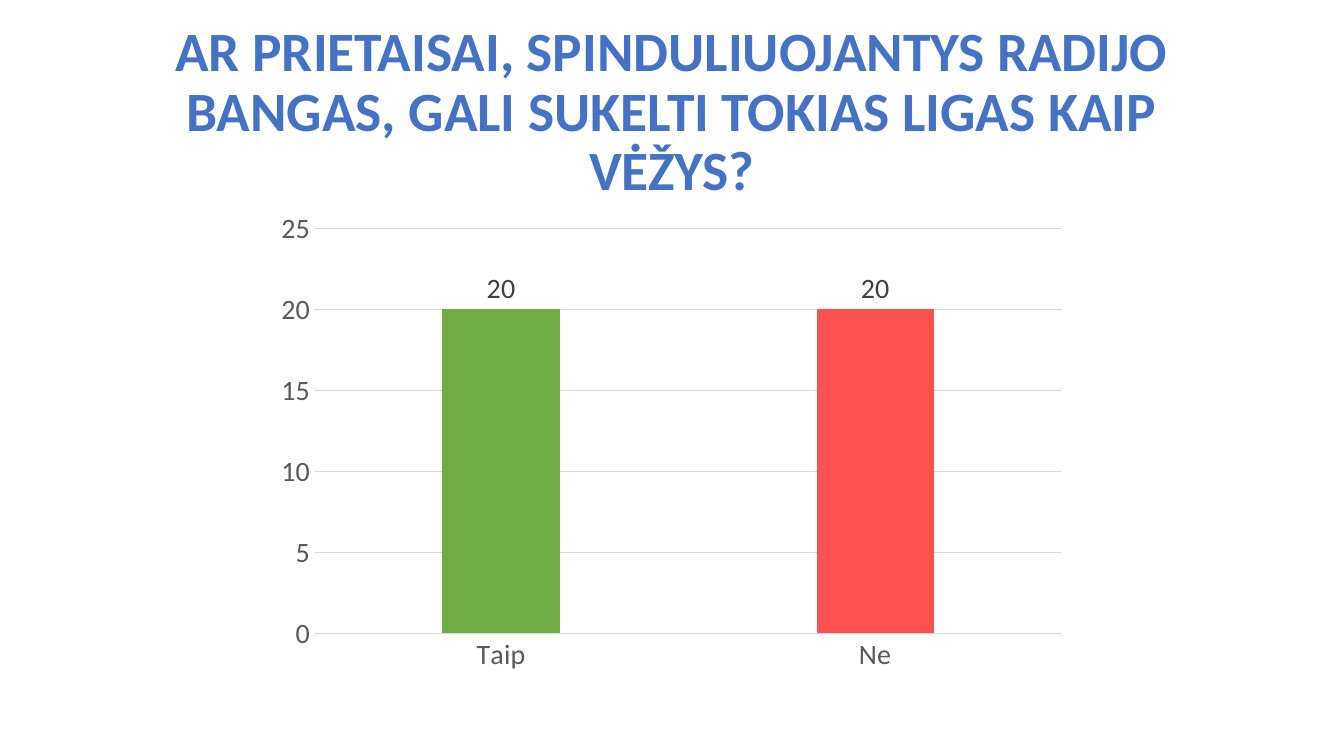
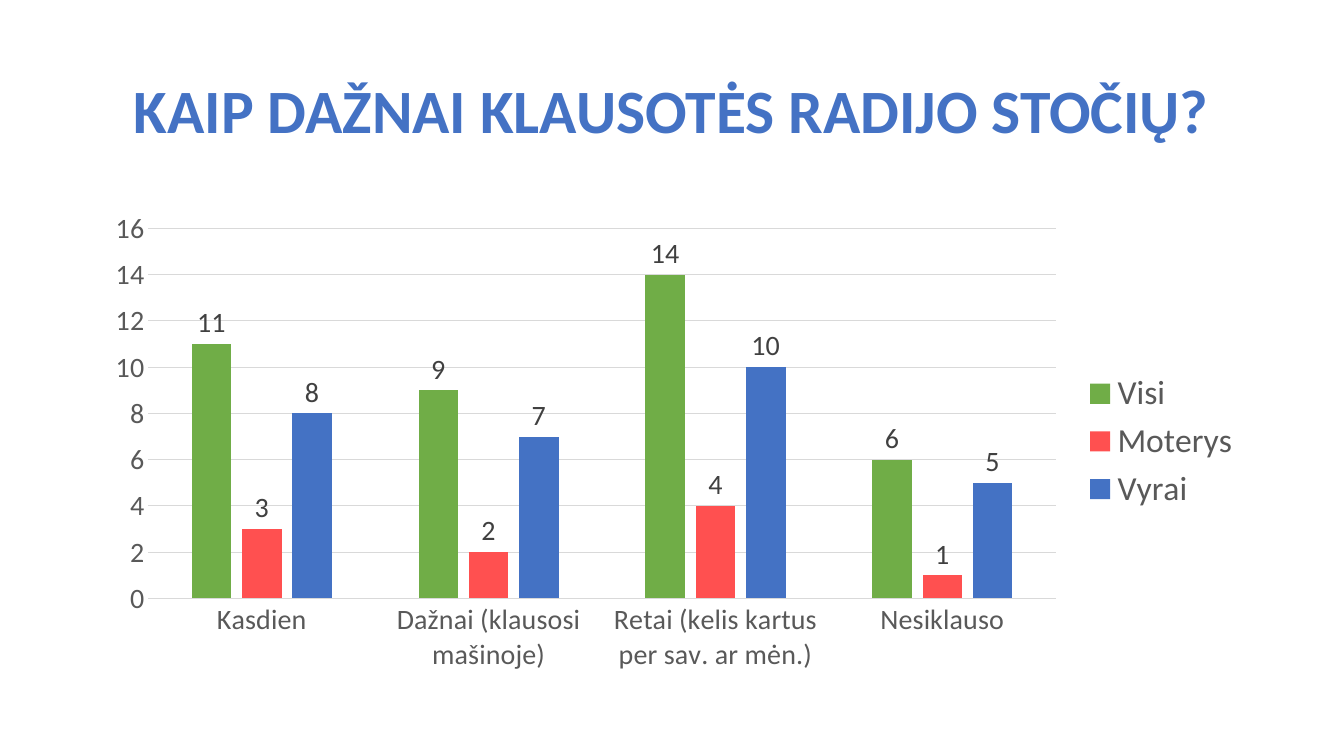
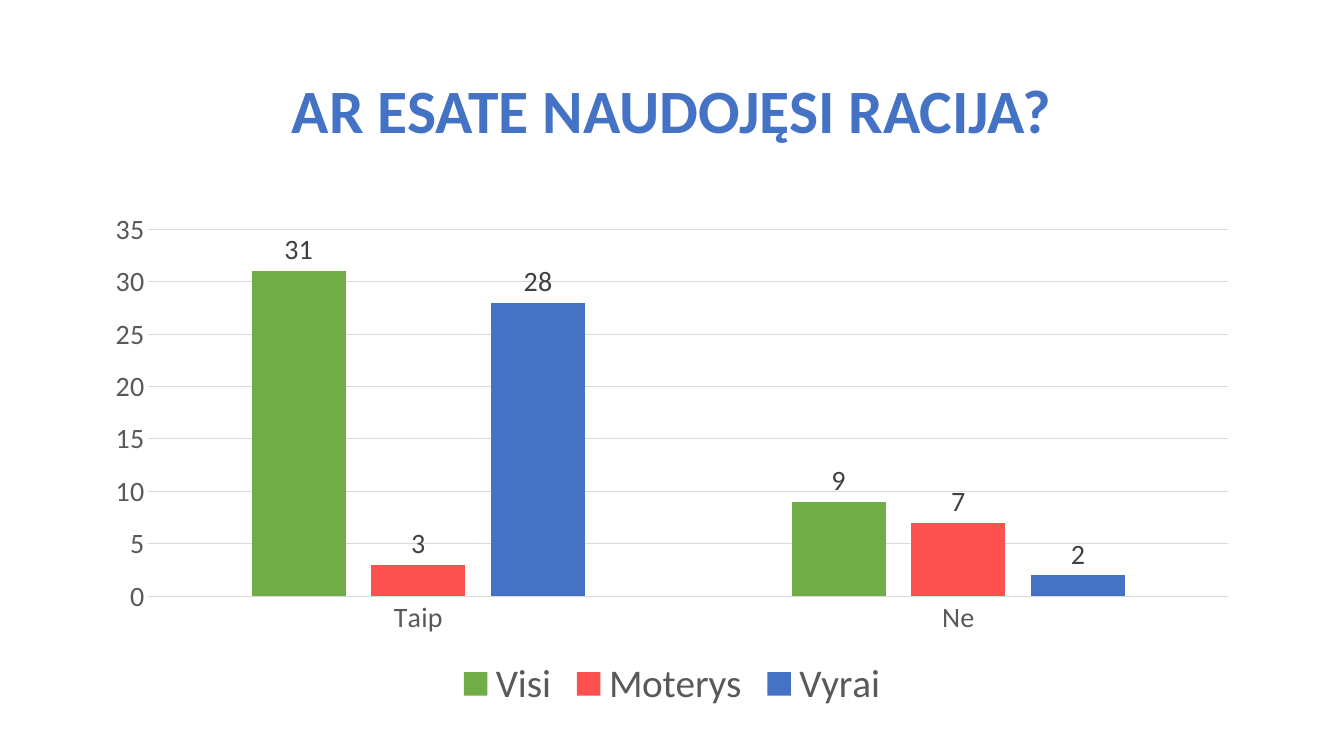
import pptx
import pptx.chart.data
import pptx.dml.color
import pptx.enum.chart
import pptx.enum.text
import pptx.util

Cm = pptx.util.Cm
Pt = pptx.util.Pt
RGBColor = pptx.dml.color.RGBColor
Legend = pptx.enum.chart.XL_LEGEND_POSITION

GREEN = RGBColor(0x70, 0xAD, 0x47)
RED = RGBColor(0xFF, 0x50, 0x50)
BLUE = RGBColor(0x44, 0x72, 0xC4)
BLACK = RGBColor(0, 0, 0)
LABEL_GREY = RGBColor(0x40, 0x40, 0x40)
AXIS_GREY = RGBColor(0x59, 0x59, 0x59)
GRID_GREY = RGBColor(0xD9, 0xD9, 0xD9)
SERIES_COLOURS = (GREEN, RED, BLUE)
FONT = "Calibri"
CHART_SIZE = 20

TITLE_BOX = (Cm(2.33), Cm(1.01), Cm(29.21), Cm(3.68))
NARROW_BOX = (Cm(6.68), Cm(5.08), Cm(20.5), Cm(12.09))
WIDE_BOX = (Cm(2.33), Cm(5.08), Cm(29.21), Cm(12.09))
TALL_BOX = (Cm(2.33), Cm(5.08), Cm(29.21), Cm(12.95))


def set_font(font, size, colour, bold=False):
    """Give a font the deck's typeface with a size, colour and weight."""
    font.name = FONT
    font.size = Pt(size)
    font.bold = bold
    font.color.rgb = colour


def set_line(line, colour):
    """Draw a thin line in one colour."""
    line.width = Pt(0.75)
    line.color.rgb = colour


def add_title(page, text, size):
    """Place the bold, centred question at the top of a page."""
    frame = page.shapes.add_textbox(*TITLE_BOX).text_frame
    frame.word_wrap = True
    frame.vertical_anchor = pptx.enum.text.MSO_ANCHOR.MIDDLE
    para = frame.paragraphs[0]
    para.text = text
    para.alignment = pptx.enum.text.PP_ALIGN.CENTER
    para.line_spacing = 0.9
    set_font(para.font, size, BLUE, bold=True)


def style_axes(chart):
    """Style the category axis, the value axis and the gridlines."""
    for axis in (chart.category_axis, chart.value_axis):
        axis.major_tick_mark = pptx.enum.chart.XL_TICK_MARK.NONE
        axis.minor_tick_mark = pptx.enum.chart.XL_TICK_MARK.NONE
        set_font(axis.tick_labels.font, CHART_SIZE, AXIS_GREY)
    set_line(chart.category_axis.format.line, GRID_GREY)
    chart.value_axis.format.line.fill.background()
    chart.value_axis.has_major_gridlines = True
    set_line(chart.value_axis.major_gridlines.format.line, GRID_GREY)


def style_series(series, colour):
    """Fill the columns of a series and label them with their values."""
    series.format.fill.solid()
    series.format.fill.fore_color.rgb = colour
    series.invert_if_negative = False
    labels = series.data_labels
    labels.show_value = True
    labels.position = pptx.enum.chart.XL_LABEL_POSITION.OUTSIDE_END
    set_font(labels.font, CHART_SIZE, LABEL_GREY)


def add_legend(chart, position, size):
    """Show the legend beside or below the columns."""
    chart.has_legend = True
    chart.legend.position = position
    chart.legend.include_in_layout = False
    set_font(chart.legend.font, size, AXIS_GREY)


def add_columns(page, box, categories, values):
    """Add a clustered column chart in a box and return it."""
    data = pptx.chart.data.CategoryChartData()
    data.categories = categories
    for name, numbers in values.items():
        data.add_series(name, numbers)
    kind = pptx.enum.chart.XL_CHART_TYPE.COLUMN_CLUSTERED
    chart = page.shapes.add_chart(kind, *box, data).chart
    chart.has_title = False
    chart.has_legend = False
    set_font(chart.font, CHART_SIZE, BLACK)
    style_axes(chart)
    plot = chart.plots[0]
    plot.gap_width = 219
    plot.overlap = -27
    plot.vary_by_categories = False
    for series, colour in zip(plot.series, SERIES_COLOURS):
        style_series(series, colour)
    return chart


def add_question(deck, title, size, box, categories, values):
    """Add a page with a question and its answers, and return the chart."""
    page = deck.slides.add_slide(deck.slide_layouts[6])
    add_title(page, title, size)
    return add_columns(page, box, categories, values)


def main():
    """Build and save the survey deck."""
    deck = pptx.Presentation()
    deck.slide_width = Cm(33.87)
    deck.slide_height = Cm(19.05)

    illness = add_question(
        deck,
        "AR PRIETAISAI, SPINDULIUOJANTYS RADIJO BANGAS, "
        "GALI SUKELTI TOKIAS LIGAS KAIP VĖŽYS?",
        39.6,
        NARROW_BOX,
        ("Taip", "Ne"),
        {"Series 1": (20, 20)},
    )
    no_column = illness.plots[0].series[0].points[1].format.fill
    no_column.solid()
    no_column.fore_color.rgb = RED

    listening = add_question(
        deck,
        "KAIP DAŽNAI KLAUSOTĖS RADIJO STOČIŲ?",
        44,
        WIDE_BOX,
        (
            "Kasdien",
            "Dažnai (klausosi mašinoje)",
            "Retai (kelis kartus per sav. ar mėn.)",
            "Nesiklauso",
        ),
        {
            "Visi": (11, 9, 14, 6),
            "Moterys": (3, 2, 4, 1),
            "Vyrai": (8, 7, 10, 5),
        },
    )
    add_legend(listening, Legend.RIGHT, 24)

    walkie_talkie = add_question(
        deck,
        "AR ESATE NAUDOJĘSI RACIJA?",
        44,
        TALL_BOX,
        ("Taip", "Ne"),
        {"Visi": (31, 9), "Moterys": (3, 7), "Vyrai": (28, 2)},
    )
    add_legend(walkie_talkie, Legend.BOTTOM, 28)

    deck.save("out.pptx")


if __name__ == "__main__":
    main()
